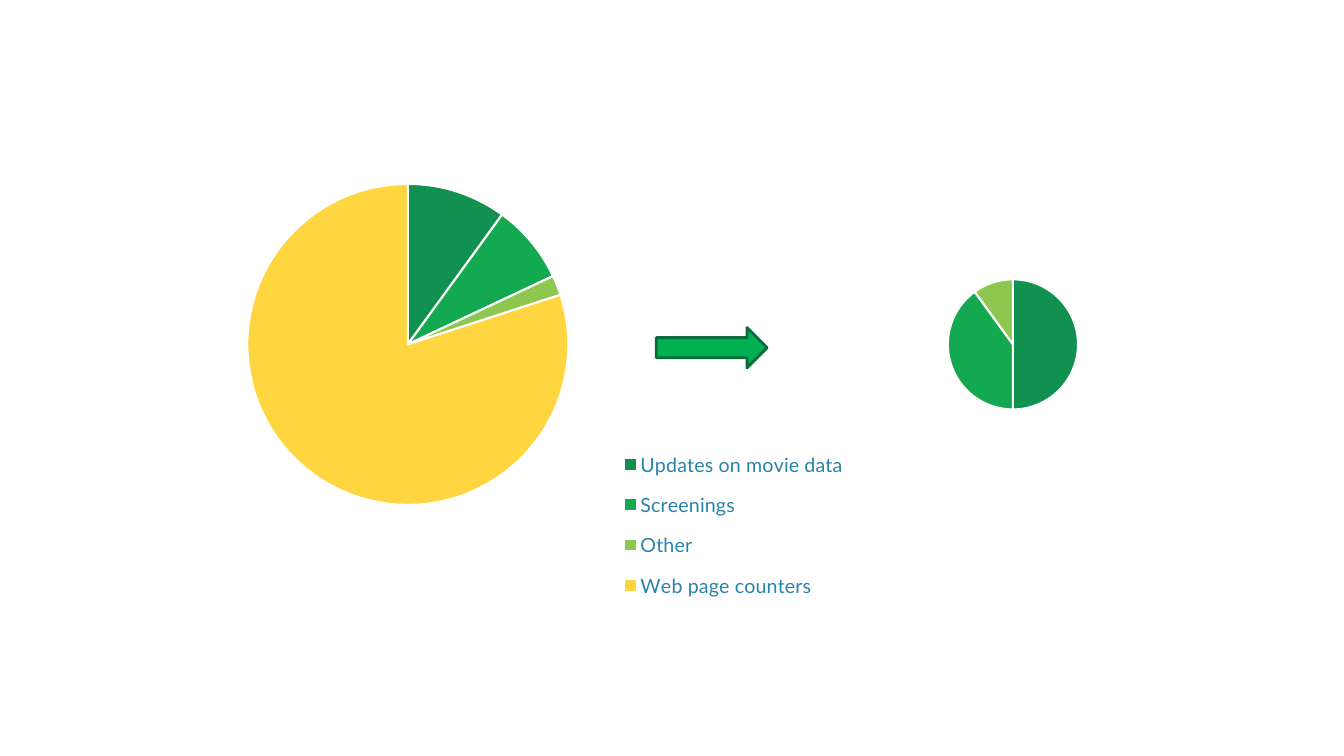
import pptx
import pptx.chart.data
import pptx.dml.color
import pptx.enum.chart
import pptx.enum.shapes
import pptx.oxml
import pptx.oxml.ns
import pptx.util

Inches = pptx.util.Inches
Pt = pptx.util.Pt
RGBColor = pptx.dml.color.RGBColor
qn = pptx.oxml.ns.qn

DARK_GREEN = RGBColor(0x10, 0x91, 0x4F)
GREEN = RGBColor(0x13, 0xA9, 0x50)
LIGHT_GREEN = RGBColor(0x8E, 0xC7, 0x4F)
YELLOW = RGBColor(0xFF, 0xD6, 0x40)
WHITE = RGBColor(0xFF, 0xFF, 0xFF)
INK = RGBColor(0x0A, 0x20, 0x2A)
LEGEND_BLUE = RGBColor(0x29, 0x83, 0xAB)
ARROW_FILL = RGBColor(0x00, 0xB0, 0x50)
ARROW_LINE = RGBColor(0x0C, 0x6B, 0x3A)
SLICE_COLORS = [DARK_GREEN, GREEN, LIGHT_GREEN, YELLOW]


def make_layout(x, y, width, height, inner=False):
    """Manual chart layout, in fractions of the chart frame."""
    target = '<c:layoutTarget val="inner"/>' if inner else ""
    return pptx.oxml.parse_xml(
        f'<c:layout {pptx.oxml.ns.nsdecls("c")}><c:manualLayout>{target}'
        '<c:xMode val="edge"/><c:yMode val="edge"/>'
        f'<c:x val="{x}"/><c:y val="{y}"/><c:w val="{width}"/><c:h val="{height}"/>'
        '</c:manualLayout></c:layout>')


def add_pie(slide, left, width, categories, values):
    chart_data = pptx.chart.data.CategoryChartData()
    chart_data.categories = categories
    chart_data.add_series("Series 1", values)
    chart = slide.shapes.add_chart(
        pptx.enum.chart.XL_CHART_TYPE.PIE, Inches(left), Inches(0.69),
        Inches(width), Inches(5.51), chart_data).chart
    chart.has_title = False
    chart.has_legend = False
    chart.font.name = "Arial"
    chart.font.size = Pt(10)
    chart.font.color.rgb = INK

    plot = chart.plots[0]
    plot.vary_by_categories = True
    for index, color in enumerate(SLICE_COLORS[:len(values)]):
        slice_format = plot.series[0].points[index].format
        slice_format.fill.solid()
        slice_format.fill.fore_color.rgb = color
        slice_format.line.color.rgb = WHITE
        slice_format.line.width = Pt(1.5)

    plot_area = chart._chartSpace.chart.plotArea
    for old_layout in plot_area.findall(qn("c:layout")):
        plot_area.remove(old_layout)
    plot_area.insert(0, make_layout(0.214, 0.025, 0.4, 0.94, inner=True))
    return chart


presentation = pptx.Presentation()
presentation.slide_width = Inches(13.33)
presentation.slide_height = Inches(7.5)
slide = presentation.slides.add_slide(presentation.slide_layouts[6])

# Pies: the full load, and the load without the counters
full_pie = add_pie(
    slide, 0.75, 7.96,
    ["Updates on movie data", "Screenings", "Other ", "Web page counters"],
    [10, 8, 2, 80])
add_pie(slide, 8.71, 3.23, ["1", "2", "3"], [50, 40, 10])

# Legend shared by both pies
full_pie.has_legend = True
legend = full_pie.legend
legend.position = pptx.enum.chart.XL_LEGEND_POSITION.RIGHT
legend.include_in_layout = True
legend.font.name = "Lato"
legend.font.size = Pt(14)
legend.font.color.rgb = LEGEND_BLUE
legend_element = legend._element
for old_layout in legend_element.findall(qn("c:layout")):
    legend_element.remove(old_layout)
legend_element.find(qn("c:legendPos")).addnext(make_layout(0.67, 0.66, 0.3, 0.32))

# Arrow between the pies
arrow = slide.shapes.add_shape(
    pptx.enum.shapes.MSO_SHAPE.RIGHT_ARROW,
    Inches(6.51), Inches(3.25), Inches(1.1), Inches(0.4))
arrow.shadow.inherit = False
arrow.fill.solid()
arrow.fill.fore_color.rgb = ARROW_FILL
arrow.line.color.rgb = ARROW_LINE
arrow.line.width = Pt(2)

presentation.save("out.pptx")
